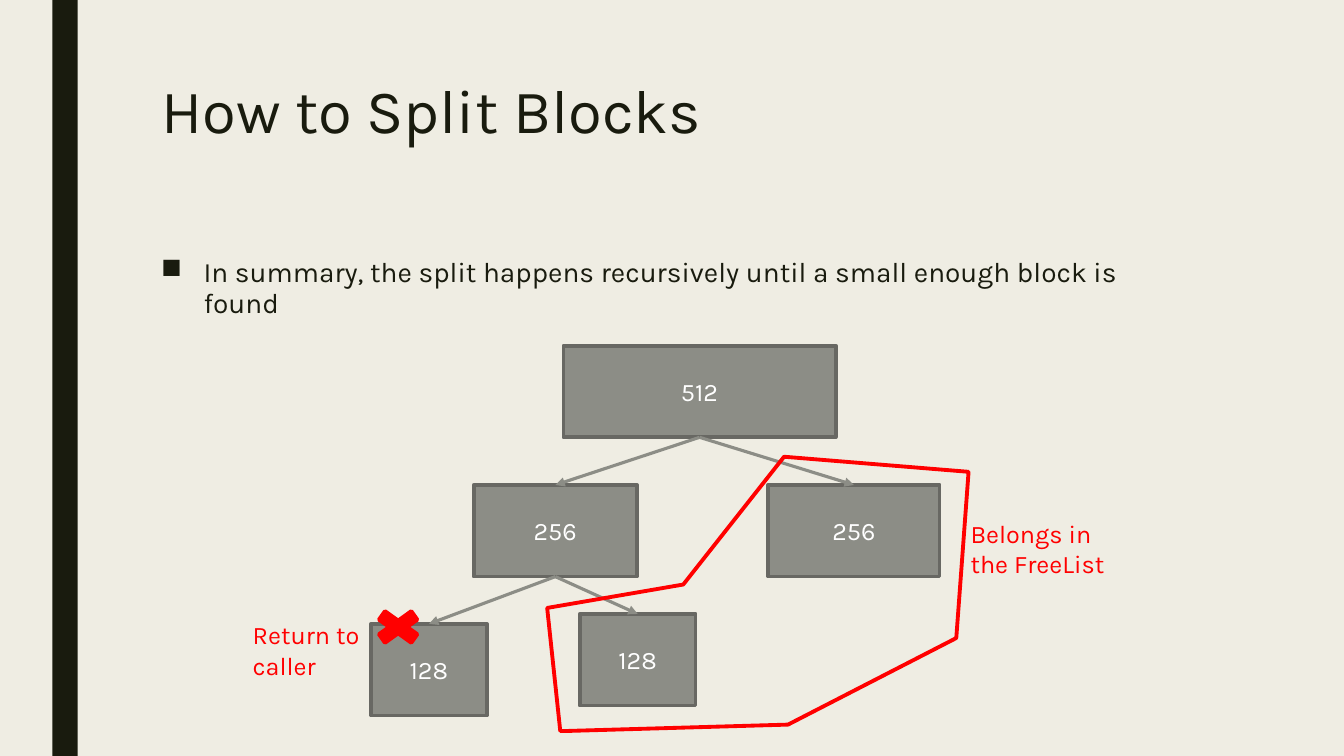
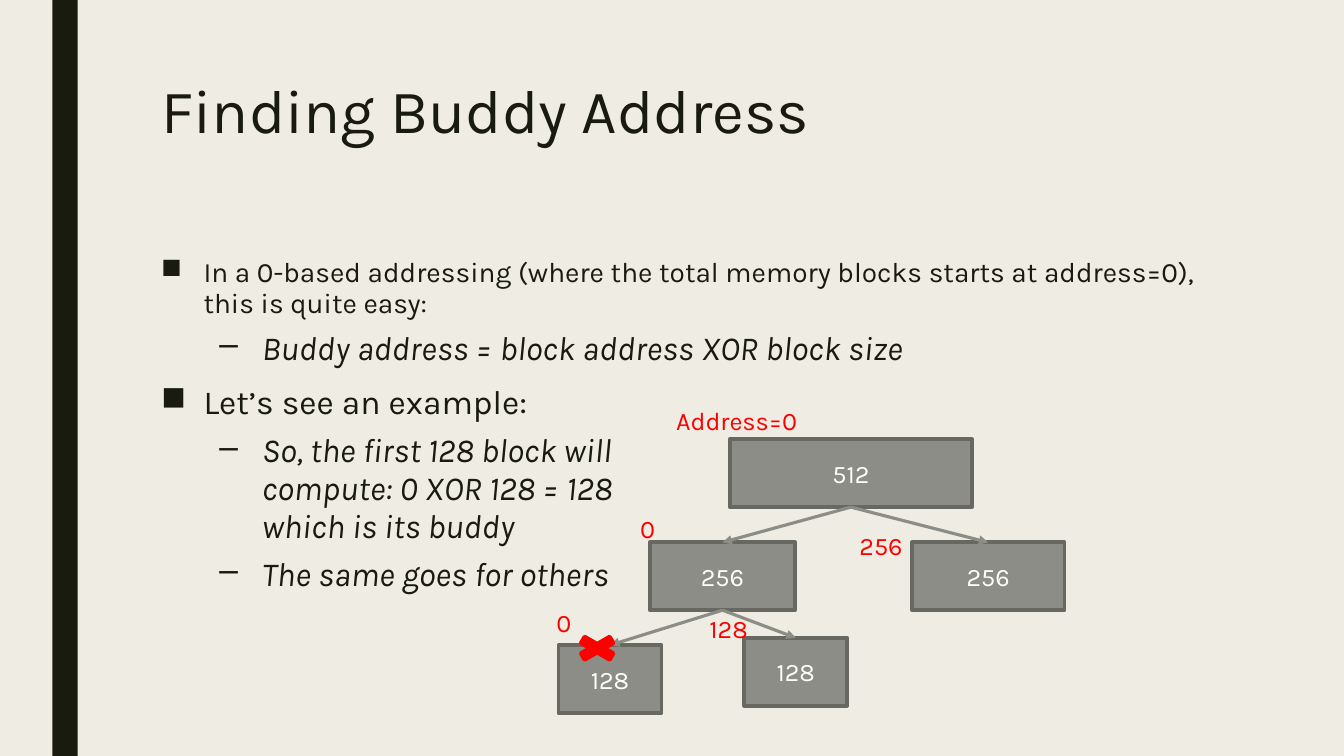
"""Builds two slides on splitting memory blocks and finding a buddy block."""
from dataclasses import dataclass

from lxml.etree import SubElement
from pptx import Presentation
from pptx.dml.color import RGBColor as Rgb
from pptx.enum.shapes import MSO_CONNECTOR as Connector, MSO_SHAPE as Shape
from pptx.enum.text import MSO_ANCHOR as Anchor, MSO_AUTO_SIZE as AutoSize, PP_ALIGN as Align
from pptx.oxml.ns import qn
from pptx.util import Cm, Pt


@dataclass(frozen=True)
class Theme:
    font: str = "Karla"
    paper: str = "EFEDE3"
    ink: str = "191B0E"
    block: str = "8C8D86"
    edge: str = "686863"
    mark: str = "FF0000"
    white: str = "FFFFFF"
    title_size: int = 44
    point_size: int = 20
    large_size: int = 24
    label_size: int = 18
    outline: float = 2.75
    arrow: float = 2.25


THEME = Theme()
BLOCK_HEIGHT = 2.31
BLOCKS = [
    ("512", 0, 0, 6.86, None),
    ("256", -2.26, 3.51, 4.11, 0),
    ("256", 5.16, 3.51, 4.32, 0),
    ("128", -4.85, 7.01, 2.92, 1),
    ("128", 0.41, 6.76, 2.92, 1),
]


def write(paragraph, text, size=THEME.label_size, color=THEME.ink, italic=False,
          align=Align.LEFT, line_spacing=None, before=0, after=0):
    paragraph.text = text
    paragraph.alignment = align
    paragraph.line_spacing = line_spacing
    paragraph.space_before, paragraph.space_after = Pt(before), Pt(after)
    for run in paragraph.runs:
        run.font.name = THEME.font
        run.font.size = Pt(size)
        run.font.italic = italic
        run.font.color.rgb = Rgb.from_string(color)


class Deck:
    def __init__(self, theme):
        self.theme = theme
        self.show = Presentation()
        self.show.slide_width, self.show.slide_height = Cm(33.87), Cm(19.05)
        paper = self.show.slide_master.background.fill
        paper.solid()
        paper.fore_color.rgb = Rgb.from_string(theme.paper)
        self.slide = None

    def start(self, heading):
        self.slide = self.show.slides.add_slide(self.show.slide_layouts[5])
        self.shape(Shape.RECTANGLE, 1.32, 0, 0.64, 19.05, self.theme.ink)
        title = self.slide.shapes.title
        title.left, title.top, title.width, title.height = Cm(3.81), Cm(1.9), Cm(26.67), Cm(4.11)
        frame = title.text_frame
        frame.vertical_anchor, frame.auto_size = Anchor.TOP, AutoSize.NONE
        write(frame.paragraphs[0], heading, size=self.theme.title_size, line_spacing=0.89)

    def outline(self, shape, color):
        shape.shadow.inherit = False
        shape.line.color.rgb = Rgb.from_string(color)
        shape.line.width = Pt(self.theme.outline)

    def shape(self, kind, left, top, width, height, fill, edge=None):
        shape = self.slide.shapes.add_shape(kind, Cm(left), Cm(top), Cm(width), Cm(height))
        shape.fill.solid()
        shape.fill.fore_color.rgb = Rgb.from_string(fill)
        if edge:
            self.outline(shape, edge)
        else:
            shape.shadow.inherit = False
            shape.line.fill.background()
        return shape

    def block(self, size, left, top, width, height):
        block = self.shape(Shape.RECTANGLE, left, top, width, height,
                           self.theme.block, self.theme.edge)
        block.text_frame.vertical_anchor = Anchor.MIDDLE
        write(block.text_frame.paragraphs[0], size, color=self.theme.white, align=Align.CENTER)
        return block

    def arrow(self, parent, child):
        arrow = self.slide.shapes.add_connector(Connector.STRAIGHT, 0, 0, 0, 0)
        arrow.begin_connect(parent, 2)
        arrow.end_connect(child, 0)
        arrow.line.color.rgb = Rgb.from_string(self.theme.block)
        arrow.line.width = Pt(self.theme.arrow)
        properties = arrow.element.spPr
        SubElement(properties.find(qn("a:ln")), qn("a:tailEnd"), type="triangle")
        SubElement(properties, qn("a:effectLst"))

    def tree(self, left, top, across=1, down=1):
        drawn = []
        for size, x, y, width, parent in BLOCKS:
            drawn.append(self.block(size, left + x * across, top + y * down,
                                    width * across, BLOCK_HEIGHT * down))
            if parent is not None:
                self.arrow(drawn[parent], drawn[-1])

    def cross(self, left, top, width, height):
        self.shape(Shape.MATH_MULTIPLY, left, top, width, height,
                   self.theme.mark, self.theme.mark)

    def loop(self, corners):
        start, *rest = [(Cm(x), Cm(y)) for x, y in corners]
        builder = self.slide.shapes.build_freeform(*start)
        builder.add_line_segments(rest, close=True)
        loop = builder.convert_to_shape()
        loop.fill.background()
        self.outline(loop, self.theme.mark)

    def frame(self, left, top, width, height):
        box = self.slide.shapes.add_textbox(Cm(left), Cm(top), Cm(width), Cm(height))
        box.text_frame.word_wrap = True
        return box.text_frame

    def label(self, text, left, top, width, height=1.02):
        frame = self.frame(left, top, width, height)
        frame.auto_size = AutoSize.SHAPE_TO_FIT_TEXT
        write(frame.paragraphs[0], text, color=self.theme.mark)

    def points(self, points):
        frame = self.frame(3.81, 6.35, 26.67, 9.96)
        for index, (level, size, text) in enumerate(points):
            point = frame.add_paragraph() if index else frame.paragraphs[0]
            write(point, text, size=size, italic=level == 1, line_spacing=0.94,
                  before=5 if level else 10, after=2)
            point.level = level
            properties = point._p.get_or_add_pPr()
            properties.set("marL", str(Cm(2.54 if level else 1.07)))
            properties.set("indent", str(Cm(-1.07)))
            SubElement(properties, qn("a:buChar"), char="–" if level else "■")


def split_blocks(deck):
    deck.start("How to Split Blocks")
    deck.points([(0, THEME.point_size, "In summary, the split happens recursively until "
                  "a small enough block is found")])
    deck.tree(14.2, 8.71)
    deck.label("Return to caller", 6.12, 15.49, 3.23, 1.8)
    deck.cross(9.25, 15.24, 1.57, 1.12)
    deck.loop([(14.12, 18.42), (13.79, 15.32), (17.22, 14.73), (19.76, 11.51),
               (24.41, 11.89), (24.1, 16.08), (19.86, 18.26), (14.3, 18.42)])
    deck.label("Belongs in the FreeList", 24.21, 12.93, 4.52, 1.8)


def buddy_address(deck):
    deck.start("Finding Buddy Address")
    deck.points([
        (0, THEME.point_size, "In a 0-based addressing (where the total memory blocks "
         "starts at address=0), this is quite easy:"),
        (1, THEME.large_size, "Buddy address = block address XOR block size"),
        (0, THEME.large_size, "Let’s see an example:"),
        (1, THEME.large_size, "So, the first 128 block will\vcompute: 0 XOR 128 = 128"
         "\vwhich is its buddy"),
        (1, THEME.large_size, "The same goes for others"),
    ])
    deck.tree(18.39, 11.07, across=0.89, down=0.74)
    deck.cross(14.35, 15.93, 1.4, 0.81)
    for address, left, top, width in [
        ("Address=0", 16.79, 10.08, 4.57),
        ("0", 15.88, 12.8, 0.99),
        ("0", 13.77, 15.19, 0.81),
        ("128", 17.63, 15.32, 2.01),
        ("256", 21.41, 13.23, 2.01),
    ]:
        deck.label(address, left, top, width)


deck = Deck(THEME)
split_blocks(deck)
buddy_address(deck)
deck.show.save("out.pptx")
